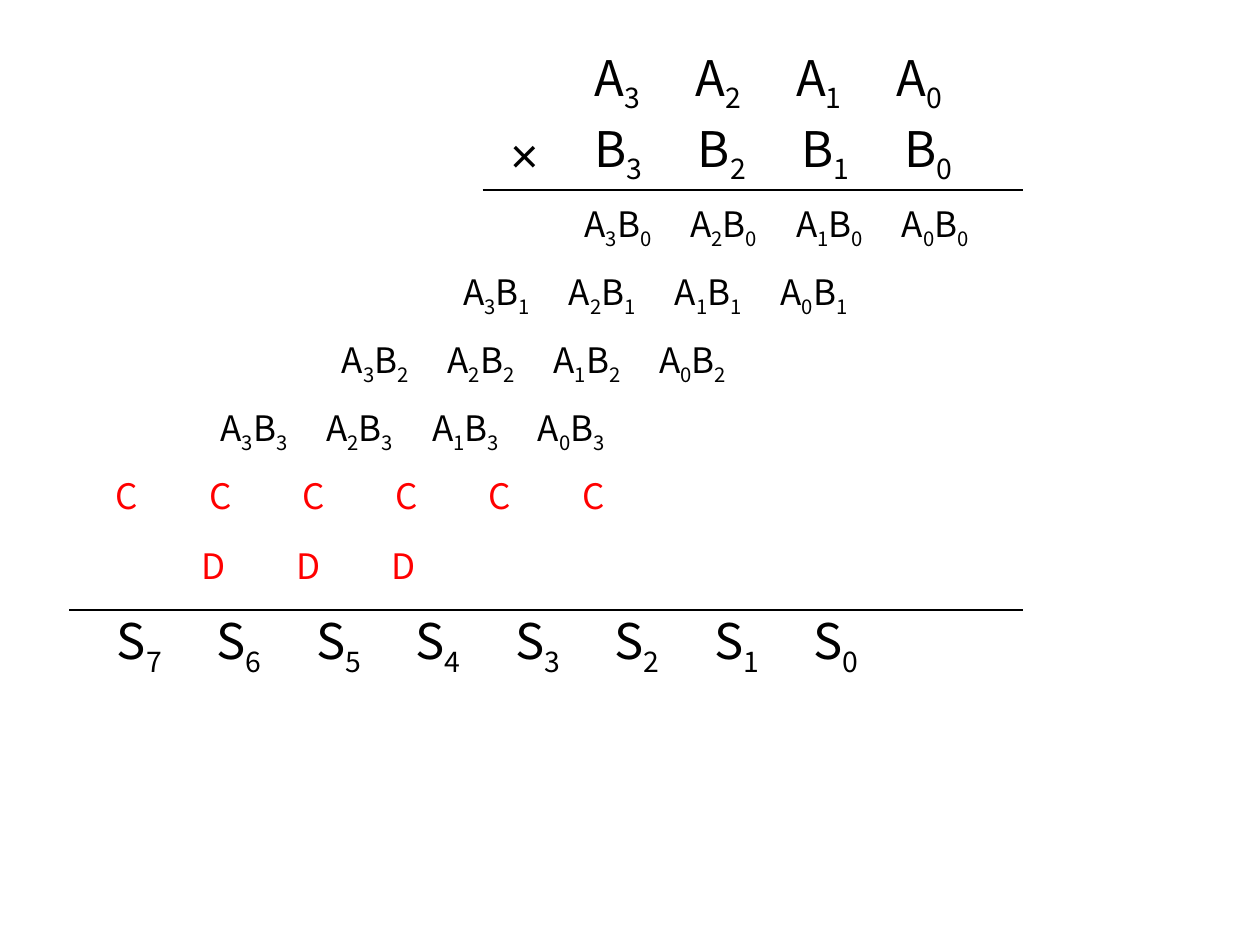
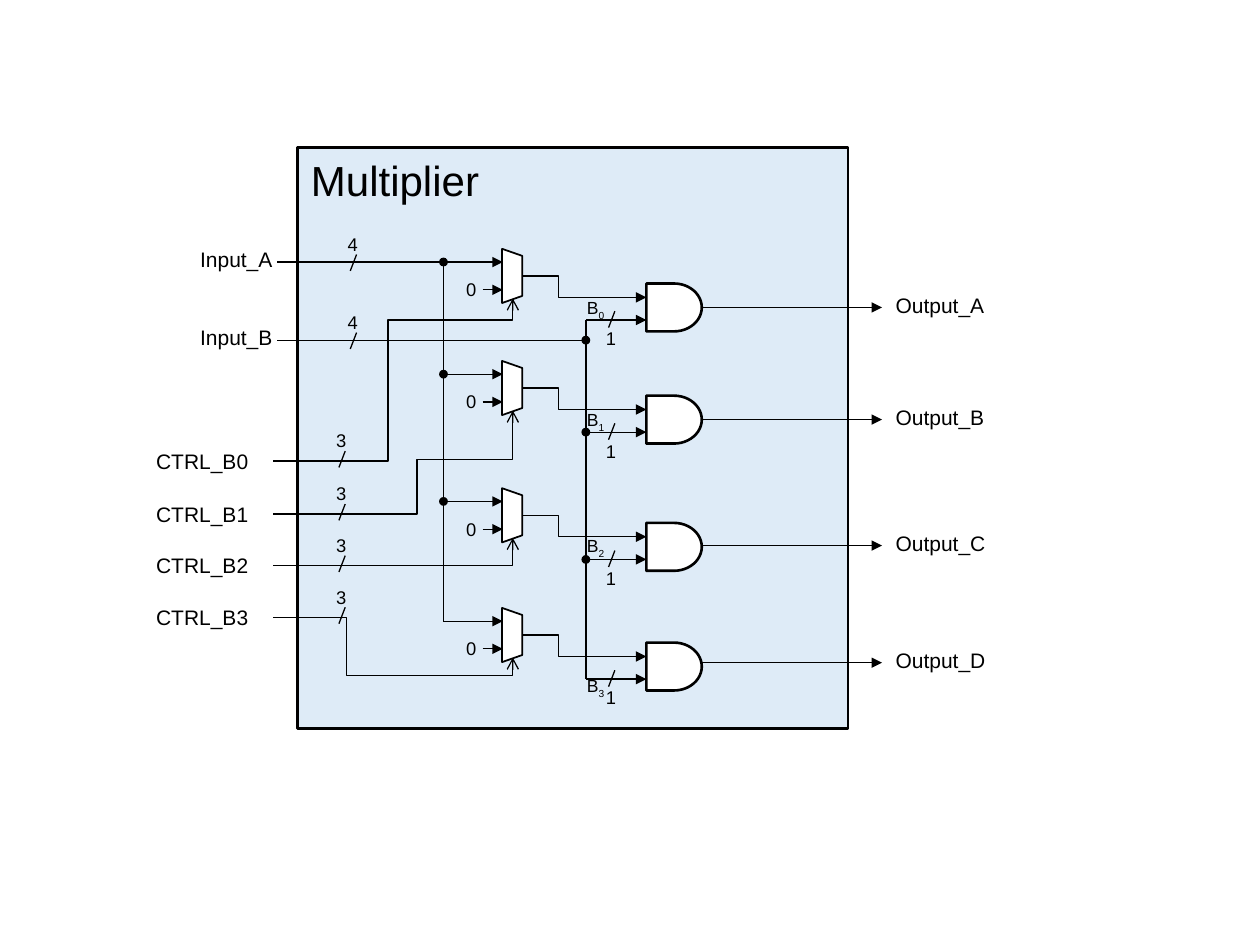
from itertools import groupby

from lxml import etree
from pptx import Presentation
from pptx.dml.color import RGBColor
from pptx.enum.shapes import MSO_CONNECTOR, MSO_SHAPE
from pptx.enum.text import MSO_ANCHOR, MSO_AUTO_SIZE, PP_ALIGN
from pptx.oxml.ns import qn
from pptx.util import Inches, Pt

STRAIGHT, ELBOW = MSO_CONNECTOR.STRAIGHT, MSO_CONNECTOR.ELBOW
RECTANGLE, OVAL = MSO_SHAPE.RECTANGLE, MSO_SHAPE.OVAL
TRAPEZOID, DELAY = MSO_SHAPE.TRAPEZOID, MSO_SHAPE.FLOWCHART_DELAY
LEFT, CENTER = PP_ALIGN.LEFT, PP_ALIGN.CENTER
MIDDLE, FIT = MSO_ANCHOR.MIDDLE, MSO_AUTO_SIZE.SHAPE_TO_FIT_TEXT

BLACK = RGBColor(0x00, 0x00, 0x00)
WHITE = RGBColor(0xFF, 0xFF, 0xFF)
RED = RGBColor(0xFF, 0x00, 0x00)
PALE_BLUE = RGBColor(0xDE, 0xEB, 0xF7)
SANS, MATH = "Arial", "Noto Sans CJK JP"
INSET = 0.1

# Circuit grid: the top of each lane is the height of its Input_A wire
LANES = (2.08, 2.97, 3.98, 4.93)
OUTPUTS = (2.44, 3.33, 4.33, 5.26)
BIT_LABELS = (2.31, 3.20, 4.20, 5.31)
CTRL_WIRES = (3.66, 4.08, 4.49, 4.90)
BUS_A, BUS_B = 3.52, 4.65
MUX_IN, MUX_SELECT, MUX_OUT = 3.99, 4.07, 4.15
GATE_IN, GATE_OUT = 5.13, 5.57
INPUT_B = 2.7


# ---- Elements ----
def add_text(slide, text, left, top, width, height, size, font=SANS,
             color=BLACK, align=LEFT, subscripts=False):
    box = slide.shapes.add_textbox(Inches(left), Inches(top),
                                   Inches(width), Inches(height))
    frame = box.text_frame
    frame.word_wrap = True
    frame.auto_size = FIT
    paragraph = frame.paragraphs[0]
    paragraph.alignment = align
    paragraph.font.size = Pt(size)
    paragraph.font.name = font
    paragraph.font.color.rgb = color
    parts = groupby(text, str.isdigit) if subscripts else [(False, text)]
    for lowered, characters in parts:
        run = paragraph.add_run()
        run.text = "".join(characters)
        if lowered:
            run.font._element.set("baseline", "-25000")
    return frame


def add_term_row(slide, terms, left, top, width, height, size, step,
                 indent=0, color=BLACK):
    """One line of terms, set at equal tab stops."""
    frame = add_text(slide, "\t".join(terms), left, top, width, height, size,
                     MATH, color, subscripts=True)
    frame.margin_left = Inches(INSET + indent)
    tabs = etree.Element(qn("a:tabLst"))
    for column in range(1, len(terms)):
        etree.SubElement(tabs, qn("a:tab"), pos=str(Inches(column * step)),
                         algn="l")
    frame.paragraphs[0]._p.get_or_add_pPr().insert(0, tabs)


def add_wire(slide, start, end, arrow=None, kind=STRAIGHT, width=0.75):
    wire = slide.shapes.add_connector(kind, *map(Inches, start + end))
    wire.line.color.rgb = BLACK
    wire.line.width = Pt(width)
    if arrow:
        etree.SubElement(wire.line._get_or_add_ln(), qn("a:tailEnd"),
                         type=arrow)
    etree.SubElement(wire._element.spPr, qn("a:effectLst"))
    return wire


def add_step(slide, start, end, bend, arrow=None):
    """A wire that runs across, turns at x = bend, and runs across again."""
    wire = add_wire(slide, start, end, arrow, ELBOW)
    geometry = wire._element.spPr.find(qn("a:prstGeom"))
    share = round((bend - start[0]) / (end[0] - start[0]) * 100000)
    etree.SubElement(geometry.get_or_add_avLst(), qn("a:gd"), name="adj1",
                     fmla=f"val {share}")


def add_select(slide, start, lane):
    """A wire that runs across and then up into a multiplexer."""
    wire = add_wire(slide, start, (MUX_SELECT, lane + 0.29), "arrow", ELBOW)
    wire._element.spPr.find(qn("a:prstGeom")).set("prst", "bentConnector2")


def add_block(slide, kind, left, top, width, height, fill, outline=None):
    block = slide.shapes.add_shape(kind, Inches(left), Inches(top),
                                   Inches(width), Inches(height))
    block.shadow.inherit = False
    block.fill.solid()
    block.fill.fore_color.rgb = fill
    if outline:
        block.line.color.rgb = BLACK
        block.line.width = Pt(outline)
    else:
        block.line.fill.background()
    return block


def add_junction(slide, x, y):
    add_block(slide, OVAL, x - 0.035, y - 0.035, 0.07, 0.07, BLACK)


def add_bus_width(slide, right, top, bits, label_shift=-0.22):
    """A slash across a wire with its number of bits."""
    add_wire(slide, (right, top), (right - 0.05, top + 0.13))
    add_text(slide, bits, right - 0.17, top + label_shift, 0.29, 0.28, 10.5)


# ---- Slide 1: long multiplication ----
def build_multiplication(slide):
    for letter, top, step in (("A", 0.33, 0.8), ("B", 0.89, 0.82)):
        add_term_row(slide, [f"{letter}{i}" for i in (3, 2, 1, 0)],
                     4.62, top, 3.51, 0.57, 28, step)
    times = add_text(slide, "×", 3.95, 0.94, 0.59, 0.57, 28)
    times.word_wrap = False
    add_wire(slide, (3.83, 1.51), (8.12, 1.51), width=1)

    # Partial products, each row one place further left
    for b in range(4):
        add_term_row(slide, [f"A{a}B{b}" for a in (3, 2, 1, 0)],
                     4.54 - b * 0.963, 1.56 + b * 0.54, 3.71, 0.44, 20, 0.84)

    # Carries
    add_term_row(slide, "C" * 6, 0.71, 3.72, 5.62, 0.44, 20, 0.74, 0.11, RED)
    add_term_row(slide, "D" * 3, 0.71, 4.27, 5.62, 0.44, 20, 0.755, 0.79, RED)

    # Sum
    add_wire(slide, (0.55, 4.84), (8.12, 4.84), width=1)
    add_term_row(slide, [f"S{i}" for i in range(7, -1, -1)],
                 0.83, 4.8, 7.28, 0.57, 28, 0.79)


# ---- Slide 2: multiplier circuit ----
def add_lane(slide, index):
    lane, output = LANES[index], OUTPUTS[index]
    feed = BUS_A if index else 2.2
    zero, lower = lane + 0.22, lane + 0.46

    # Multiplexer with its two inputs
    mux = add_block(slide, TRAPEZOID, 3.85, lane + 0.03, 0.43, 0.16, WHITE, 1)
    mux.adjustments[0] = 0.351
    mux.rotation = 90
    add_wire(slide, (feed, lane), (MUX_IN, lane), "triangle")
    add_text(slide, "0", 3.6, lane + 0.08, 0.29, 0.28, 10.5)
    add_wire(slide, (3.83, zero), (MUX_IN, zero), "triangle")

    # AND gate, its one-bit input and its output
    add_block(slide, DELAY, GATE_IN, lane + 0.17, 0.44, 0.38, WHITE, 1.5)
    add_step(slide, (MUX_OUT, lane + 0.11), (GATE_IN, lane + 0.28), 4.43,
             "triangle")
    add_wire(slide, (BUS_B, lower), (GATE_IN, lower), "triangle")
    add_bus_width(slide, 4.88, lane + 0.39, "1", 0.08)
    add_text(slide, f"B{index}", 4.56, BIT_LABELS[index], 0.43, 0.28, 10,
             subscripts=True)
    add_wire(slide, (GATE_OUT, output), (7, output), "triangle")
    add_text(slide, f"Output_{'ABCD'[index]}", 7.01, output - 0.17,
             0.92, 0.3, 12)


def add_controls(slide):
    for index, y in enumerate(CTRL_WIRES):
        add_text(slide, f"CTRL_B{index}", 1.04, y - 0.15, 1.13, 0.3, 12,
                 align=CENTER)
        add_bus_width(slide, 2.74, y - 0.08, "3")

    # Where each control wire turns, and the height it turns to
    turns = ((3.08, 2.54), (3.31, 3.65), None, (2.75, 5.36))
    for y, lane, turn in zip(CTRL_WIRES, LANES, turns):
        start = (2.17, y)
        if turn:
            bend, level = turn
            corner = (3.38, level)
            add_step(slide, start, corner, bend)
            start = corner
        add_select(slide, start, lane)


def build_circuit(slide):
    add_block(slide, RECTANGLE, 2.36, 1.17, 4.37, 4.61, PALE_BLUE, 1.5)
    title = add_text(slide, "Multiplier", 2.37, 1.16, 2.53, 0.58, 24)
    title.auto_size = MSO_AUTO_SIZE.NONE
    title.vertical_anchor = MIDDLE
    title.paragraphs[0].line_spacing = 0.9

    # Inputs and the two buses
    for name, y in (("Input_A", LANES[0]), ("Input_B", INPUT_B)):
        add_text(slide, name, 1.49, y - 0.17, 0.82, 0.3, 12)
        add_bus_width(slide, 2.83, y - 0.06, "4")
    add_wire(slide, (2.2, INPUT_B), (BUS_B, INPUT_B))
    add_wire(slide, (BUS_A, LANES[0]), (BUS_A, LANES[-1]))
    add_wire(slide, (BUS_B, LANES[0] + 0.46), (BUS_B, LANES[-1] + 0.46))

    for index in range(len(LANES)):
        add_lane(slide, index)
    add_controls(slide)

    for y in LANES[:3]:
        add_junction(slide, BUS_A, y)
    for y in (INPUT_B, LANES[1] + 0.46, LANES[2] + 0.46):
        add_junction(slide, BUS_B, y)


def main():
    deck = Presentation()
    deck.slide_width, deck.slide_height = Inches(10), Inches(7.5)
    blank = deck.slide_layouts[6]
    for build in (build_multiplication, build_circuit):
        build(deck.slides.add_slide(blank))
    deck.save("out.pptx")


main()
